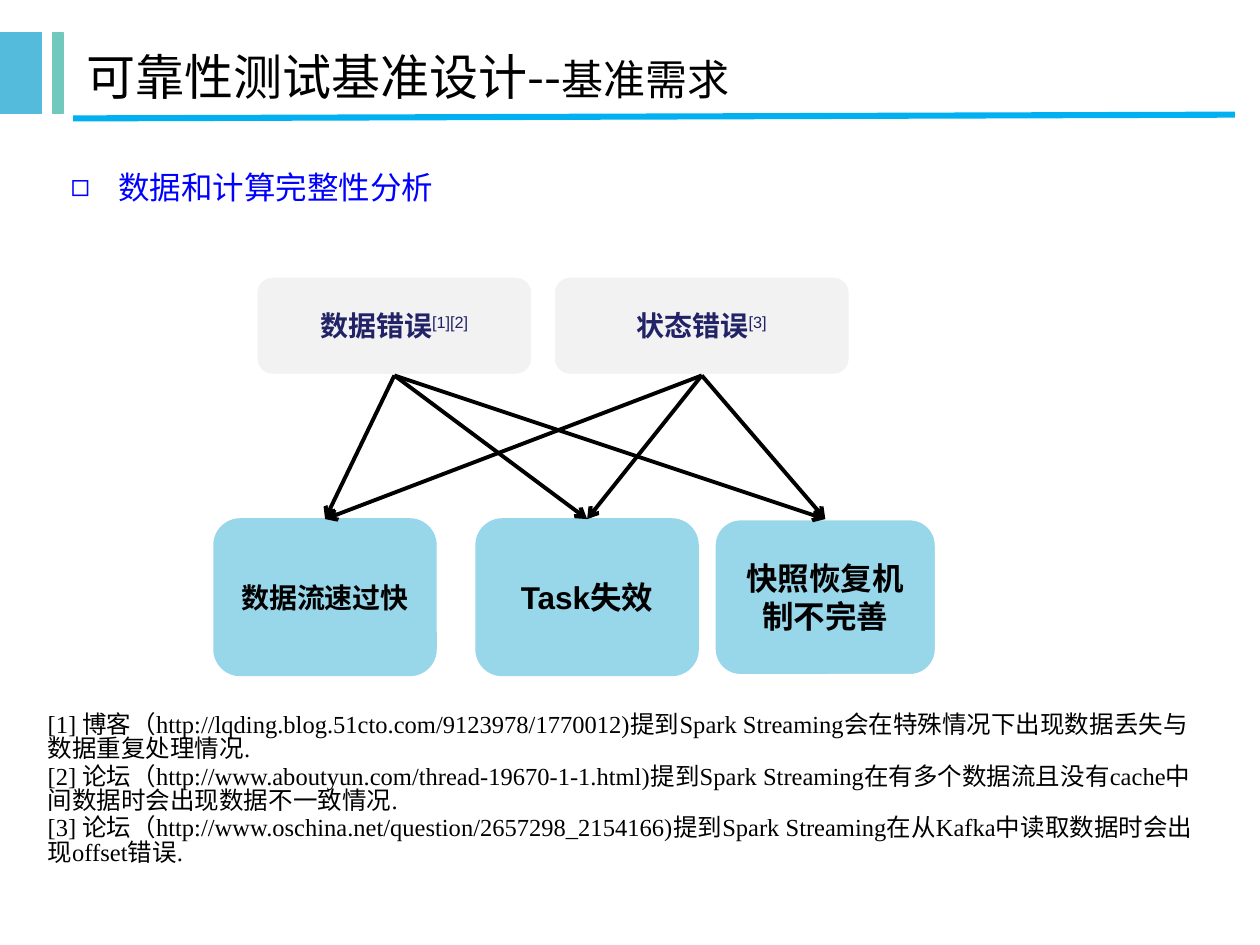
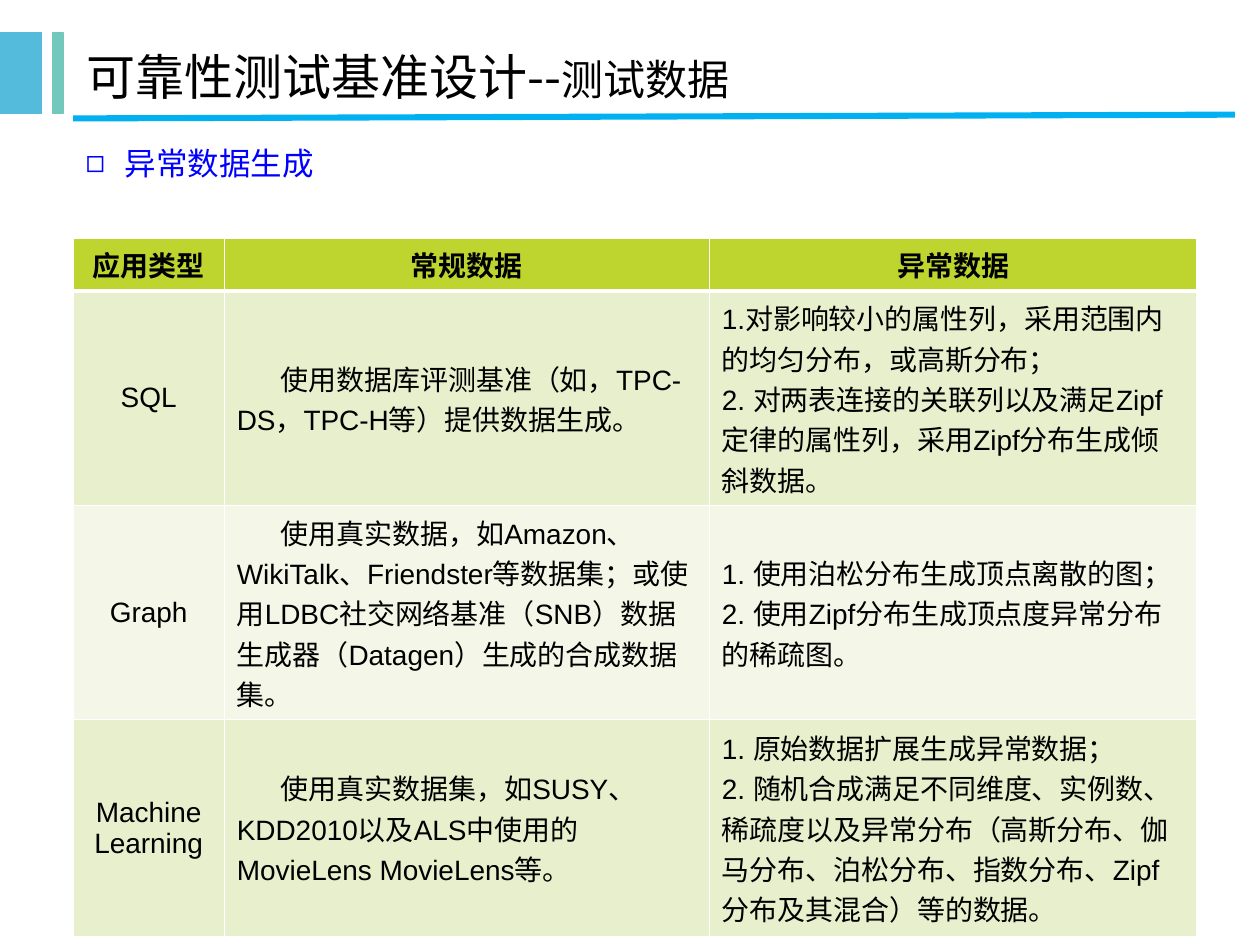
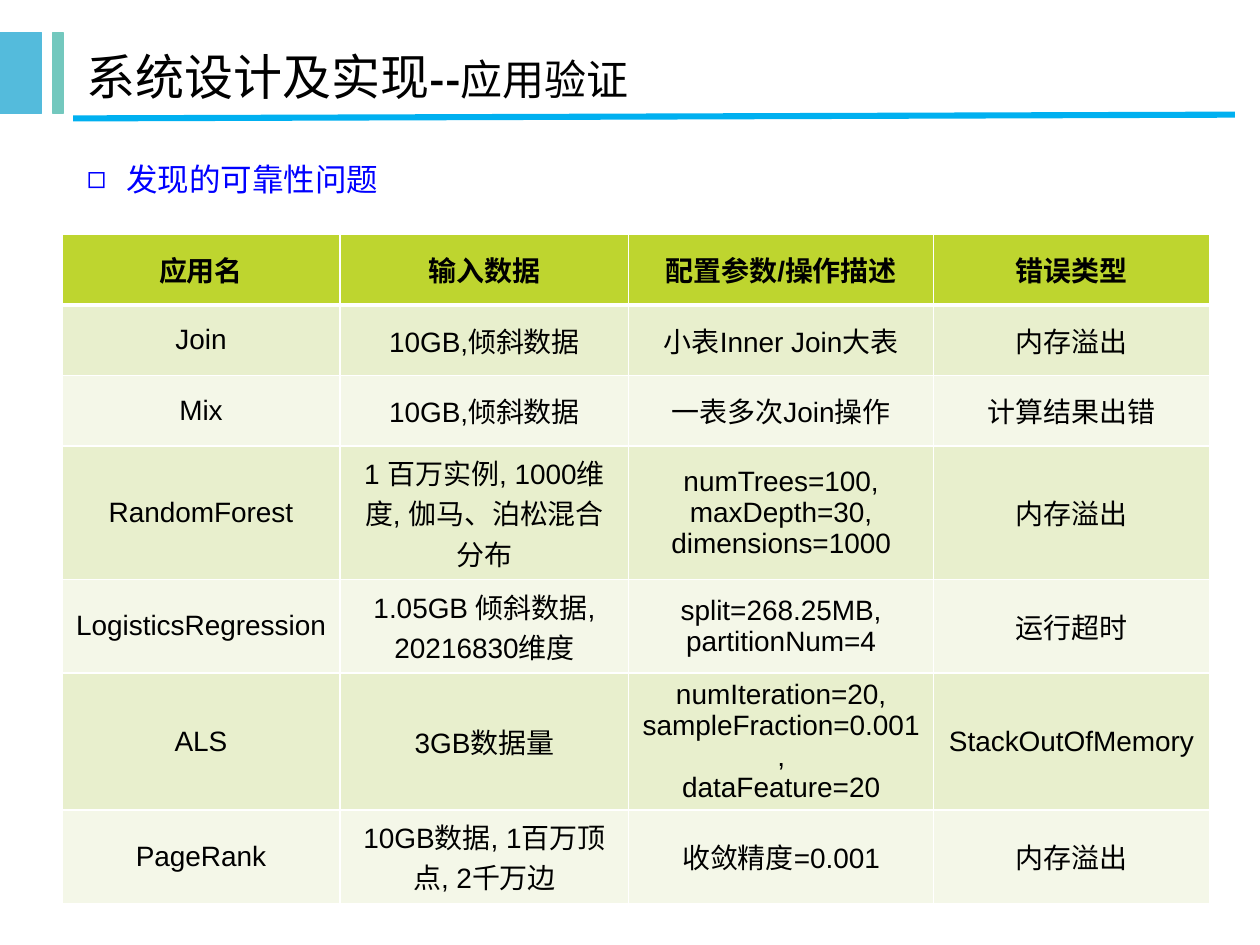
from dataclasses import dataclass
from typing import NamedTuple

import pptx
import pptx.dml.color
import pptx.enum.shapes
import pptx.enum.text
import pptx.oxml
import pptx.oxml.ns
import pptx.util
from pptx.util import Inches

SHAPE = pptx.enum.shapes.MSO_SHAPE
ANCHOR = pptx.enum.text.MSO_ANCHOR
ALIGN = pptx.enum.text.PP_ALIGN
NS = pptx.oxml.ns.nsdecls("a")


@dataclass(frozen=True)
class Theme:
    band_blue: str = "54BBDC"
    band_teal: str = "73C8BE"
    rule: str = "00B0F0"
    text: str = "000000"
    heading: str = "0000FF"
    cause_text: str = "222267"
    cause_fill: str = "F2F2F2"
    effect_fill: str = "98D6EA"
    white: str = "FFFFFF"
    header_fill: str = "BED52F"
    odd_row: str = "E8EFCD"
    even_row: str = "F4F7E8"
    latin: str = "Arial"
    cjk: str = "Noto Sans CJK SC"
    serif: str = "Times New Roman"
    title_size: int = 28
    subtitle_size: int = 24
    heading_size: int = 18
    table_size: int = 16
    cause_size: int = 16
    reference_size: int = 14


THEME = Theme()


class Box(NamedTuple):
    left: float
    top: float
    width: float
    height: float

    def lengths(self) -> tuple:
        return tuple(Inches(value) for value in self)


class TitlePart(NamedTuple):
    text: str
    size: int
    bold: bool = False


class Heading(NamedTuple):
    text: str
    box: Box
    indent: float


class Band(NamedTuple):
    box: Box
    color: str


class Node(NamedTuple):
    text: str
    box: Box
    fill: str
    line: str
    line_width: float
    color: str
    size: int
    citation: str = ""


class Grid(NamedTuple):
    box: Box
    columns: list[float]
    row_heights: list[float]
    rows: list[list[str]]
    prose_columns: tuple[int, ...] = ()
    indented_column: int | None = None


TITLE_BOX = Box(0.59, 0.26, 8.91, 0.69)
BANDS = [
    Band(Box(0, 0.26, 0.33, 0.64), THEME.band_blue),
    Band(Box(0.42, 0.26, 0.08, 0.64), THEME.band_teal),
]

CAUSES = [
    Node(text, Box(left, 2.19, width, 0.79), THEME.cause_fill, THEME.white, 2,
         THEME.cause_text, THEME.cause_size, citation)
    for text, left, width, citation in [
        ("数据错误", 2.03, 2.2, "[1][2]"),
        ("状态错误", 4.39, 2.36, "[3]"),
    ]
]
EFFECTS = [
    Node(text, Box(left, 4.12, 1.76, 1.24), THEME.effect_fill, line, line_width,
         THEME.text, size)
    for text, left, line, line_width, size in [
        ("数据流速过快", 1.7, THEME.effect_fill, 1, 16),
        ("Task失效", 3.78, THEME.effect_fill, 1, 18),
        ("快照恢复机制不完善", 5.67, THEME.white, 1.5, 18),
    ]
]
REFERENCES = [
    "[1] 博客（http://lqding.blog.51cto.com/9123978/1770012)提到Spark Streaming"
    "会在特殊情况下出现数据丢失与数据重复处理情况.",
    "[2] 论坛（http://www.aboutyun.com/thread-19670-1-1.html)提到Spark Streaming"
    "在有多个数据流且没有cache中间数据时会出现数据不一致情况.",
    "[3] 论坛（http://www.oschina.net/question/2657298_2154166)提到Spark Streaming"
    "在从Kafka中读取数据时会出现offset错误.",
]

TEST_DATA = Grid(
    Box(0.58, 1.89, 8.92, 4.96),
    [1.2, 3.85, 3.87],
    [0.37, 1.43, 1.43, 1.72],
    [
        ["应用类型", "常规数据", "异常数据"],
        ["SQL", "使用数据库评测基准（如，TPC-DS，TPC-H等）提供数据生成。",
         "1.对影响较小的属性列，采用范围内的均匀分布，或高斯分布；\n"
         "2. 对两表连接的关联列以及满足Zipf定律的属性列，采用Zipf分布生成倾斜数据。"],
        ["Graph",
         "使用真实数据，如Amazon、WikiTalk、Friendster等数据集；或使用LDBC社交网络基准"
         "（SNB）数据生成器（Datagen）生成的合成数据集。",
         "1. 使用泊松分布生成顶点离散的图；\n2. 使用Zipf分布生成顶点度异常分布的稀疏图。"],
        ["Machine Learning",
         "使用真实数据集，如SUSY、KDD2010以及ALS中使用的MovieLens MovieLens等。",
         "1. 原始数据扩展生成异常数据；\n"
         "2. 随机合成满足不同维度、实例数、稀疏度以及异常分布（高斯分布、伽马分布、"
         "泊松分布、指数分布、Zipf分布及其混合）等的数据。"],
    ],
    prose_columns=(1, 2),
    indented_column=1,
)
FOUND_PROBLEMS = Grid(
    Box(0.49, 1.86, 9.11, 5.29),
    [2.21, 2.29, 2.42, 2.19],
    [0.56, 0.56, 0.56, 0.56, 0.63, 0.56, 0.56],
    [
        ["应用名", "输入数据", "配置参数/操作描述", "错误类型"],
        ["Join", "10GB,倾斜数据", "小表Inner Join大表", "内存溢出"],
        ["Mix", "10GB,倾斜数据", "一表多次Join操作", "计算结果出错"],
        ["RandomForest", "1 百万实例, 1000维度, 伽马、泊松混合分布",
         "numTrees=100, maxDepth=30,\ndimensions=1000", "内存溢出"],
        ["LogisticsRegression", "1.05GB 倾斜数据, 20216830维度",
         "split=268.25MB, partitionNum=4", "运行超时"],
        ["ALS", "3GB数据量",
         "numIteration=20,\nsampleFraction=0.001,\ndataFeature=20", "StackOutOfMemory"],
        ["PageRank", "10GB数据, 1百万顶点, 2千万边", "收敛精度=0.001", "内存溢出"],
    ],
)


def rgb(color: str) -> pptx.dml.color.RGBColor:
    return pptx.dml.color.RGBColor.from_string(color)


def style_run(run, size: float, color: str = THEME.text, bold: bool = False,
              latin: str = THEME.latin) -> None:
    run.font.size = pptx.util.Pt(size)
    run.font.bold = bold
    run.font.name = latin
    run.font.color.rgb = rgb(color)
    east_asian = f'<a:ea {NS} typeface="{THEME.cjk}"/>'
    run.font._element.append(pptx.oxml.parse_xml(east_asian))


def place(shape, box: Box) -> None:
    shape.left, shape.top, shape.width, shape.height = box.lengths()


def add_panel(slide, preset, box: Box, fill: str, line: str, line_width: float):
    panel = slide.shapes.add_shape(preset, *box.lengths())
    panel.shadow.inherit = False
    panel.fill.solid()
    panel.fill.fore_color.rgb = rgb(fill)
    panel.line.color.rgb = rgb(line)
    panel.line.width = pptx.util.Pt(line_width)
    return panel


def add_line(slide, start: tuple, end: tuple, color: str, width: float):
    line = slide.shapes.add_connector(
        pptx.enum.shapes.MSO_CONNECTOR.STRAIGHT,
        *(Inches(value) for value in (*start, *end)))
    line.line.color.rgb = rgb(color)
    line.line.width = pptx.util.Pt(width)
    line._element.spPr.append(pptx.oxml.parse_xml(f"<a:effectLst {NS}/>"))
    return line


def prepare_layout(layout, slide) -> None:
    """Give the layout the two bands in place of its footer fields."""
    for field in list(layout.placeholders)[2:]:
        field._element.getparent().remove(field._element)
    for band in BANDS:
        panel = add_panel(slide, SHAPE.RECTANGLE, band.box, band.color, band.color, 0.75)
        layout.shapes._spTree.append(panel._element)


def add_frame(slide, title_parts: list[TitlePart], heading: Heading) -> None:
    """Fill the title and heading and draw the rule between them."""
    title = slide.shapes.title
    place(title, TITLE_BOX)
    title.text_frame.vertical_anchor = ANCHOR.MIDDLE
    title.text_frame.auto_size = pptx.enum.text.MSO_AUTO_SIZE.NONE
    paragraph = title.text_frame.paragraphs[0]
    paragraph.alignment = ALIGN.LEFT
    for part in title_parts:
        run = paragraph.add_run()
        run.text = part.text
        style_run(run, part.size, bold=part.bold, latin=THEME.cjk)

    add_line(slide, (0.58, 0.94), (9.8, 0.91), THEME.rule, 3.5)

    body = slide.placeholders[1]
    place(body, heading.box)
    body.text_frame.auto_size = pptx.enum.text.MSO_AUTO_SIZE.NONE
    body.text_frame.text = heading.text
    paragraph = body.text_frame.paragraphs[0]
    paragraph.space_before = pptx.util.Pt(0)
    properties = paragraph._p.get_or_add_pPr()
    properties.set("marL", str(Inches(heading.indent)))
    properties.set("indent", str(-Inches(heading.indent)))
    properties.append(pptx.oxml.parse_xml(f'<a:buChar {NS} char="◻"/>'))
    style_run(paragraph.runs[0], THEME.heading_size, THEME.heading)


def add_node(slide, node: Node):
    panel = add_panel(slide, SHAPE.ROUNDED_RECTANGLE, node.box, node.fill,
                      node.line, node.line_width)
    frame = panel.text_frame
    frame.word_wrap = True
    frame.vertical_anchor = ANCHOR.MIDDLE
    frame.text = node.text
    paragraph = frame.paragraphs[0]
    paragraph.alignment = ALIGN.CENTER
    style_run(paragraph.runs[0], node.size, node.color, bold=True)
    if node.citation:
        citation = paragraph.add_run()
        citation.text = node.citation
        style_run(citation, node.size, node.color)
        citation.font._element.set("baseline", "30000")
    return panel


def add_arrow(slide, cause, effect) -> None:
    arrow = add_line(slide, (0, 0), (0, 0), THEME.text, 2.25)
    arrow.begin_connect(cause, 2)
    arrow.end_connect(effect, 0)
    arrow.line._get_or_add_ln().append(
        pptx.oxml.parse_xml(f'<a:tailEnd {NS} type="arrow"/>'))


def add_references(slide, box: Box) -> None:
    references = slide.shapes.add_textbox(*box.lengths())
    frame = references.text_frame
    frame.word_wrap = True
    frame.text = "\n".join(REFERENCES)
    for index, paragraph in enumerate(frame.paragraphs):
        paragraph.space_before = pptx.util.Pt(1 if index else 0)
        paragraph.space_after = pptx.util.Pt(1)
        paragraph.line_spacing = 0.82
        style_run(paragraph.runs[0], THEME.reference_size, latin=THEME.serif)


def set_borders(cell, row: int) -> None:
    """White grid lines, heavier between the header and the first row."""
    widths = {"L": 1, "R": 1, "T": 3 if row == 1 else 1, "B": 3 if row == 0 else 1}
    for side, width in widths.items():
        cell._tc.get_or_add_tcPr().append(pptx.oxml.parse_xml(
            f'<a:ln{side} {NS} w="{pptx.util.Pt(width)}"><a:solidFill>'
            f'<a:srgbClr val="{THEME.white}"/></a:solidFill></a:ln{side}>'))


def add_grid(slide, grid: Grid) -> None:
    table = slide.shapes.add_table(
        len(grid.rows), len(grid.columns), *grid.box.lengths()).table
    for column, width in zip(table.columns, grid.columns):
        column.width = Inches(width)
    for row, height in zip(table.rows, grid.row_heights):
        row.height = Inches(height)
    for r, texts in enumerate(grid.rows):
        is_header = r == 0
        row_fill = THEME.odd_row if r % 2 else THEME.even_row
        for c, text in enumerate(texts):
            cell = table.cell(r, c)
            set_borders(cell, r)
            cell.fill.solid()
            cell.fill.fore_color.rgb = rgb(THEME.header_fill if is_header else row_fill)
            cell.vertical_anchor = ANCHOR.MIDDLE
            cell.text_frame.text = text
            is_prose = not is_header and c in grid.prose_columns
            for paragraph in cell.text_frame.paragraphs:
                paragraph.alignment = ALIGN.LEFT if is_prose else ALIGN.CENTER
                if is_prose and c == grid.indented_column:
                    paragraph._p.get_or_add_pPr().set("indent", str(Inches(0.35)))
                style_run(paragraph.runs[0], THEME.table_size, bold=is_header)


def build_requirements(slide) -> None:
    add_frame(slide,
              [TitlePart("可靠性测试基准设计--", THEME.title_size),
               TitlePart("基准需求", THEME.subtitle_size)],
              Heading("数据和计算完整性分析", Box(0.46, 1.28, 6.67, 0.7), 0.38))
    causes = [add_node(slide, node) for node in CAUSES]
    effects = [add_node(slide, node) for node in EFFECTS]
    for cause in causes:
        for effect in effects:
            add_arrow(slide, cause, effect)
    add_references(slide, Box(0.28, 5.62, 9.43, 1.56))


def build_test_data(slide) -> None:
    add_frame(slide,
              [TitlePart("可靠性测试基准设计--", THEME.title_size),
               TitlePart("测试数据", THEME.subtitle_size)],
              Heading("异常数据生成", Box(0.58, 1.09, 9.23, 0.4), 0.31))
    add_grid(slide, TEST_DATA)


def build_validation(slide) -> None:
    add_frame(slide,
              [TitlePart("系统设计及实现", THEME.title_size),
               TitlePart("--", THEME.subtitle_size, bold=True),
               TitlePart("应用验证", THEME.subtitle_size)],
              Heading("发现的可靠性问题", Box(0.59, 1.22, 7.52, 0.4), 0.31))
    add_grid(slide, FOUND_PROBLEMS)


def main() -> None:
    deck = pptx.Presentation()
    deck.slide_width, deck.slide_height = Inches(10), Inches(7.5)
    layout = deck.slide_layouts[1]
    builders = [build_requirements, build_test_data, build_validation]
    slides = [deck.slides.add_slide(layout) for _ in builders]
    prepare_layout(layout, slides[0])
    for build, slide in zip(builders, slides):
        build(slide)
    deck.save("out.pptx")


if __name__ == "__main__":
    main()
